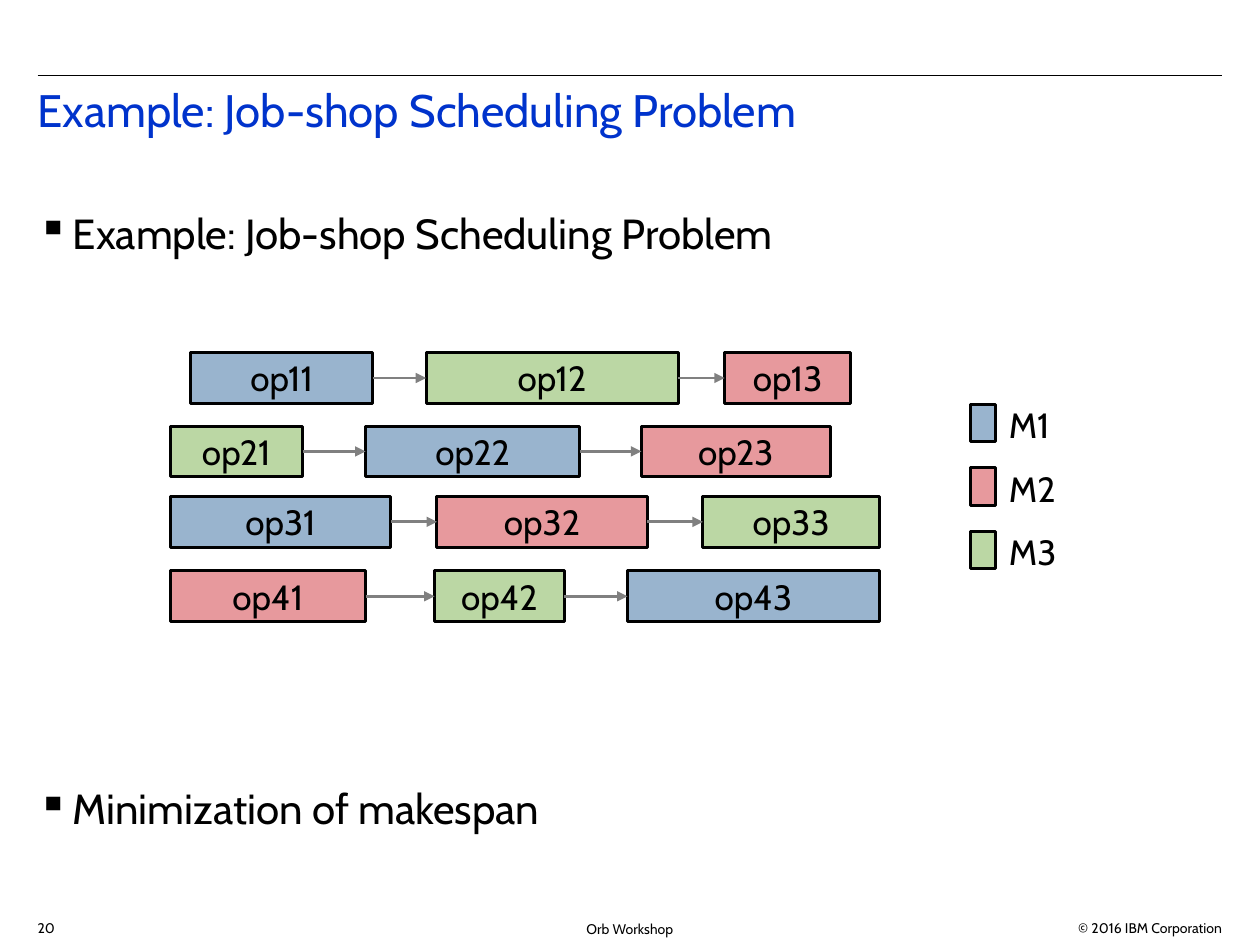
"""Builds the job-shop scheduling example slide."""
from dataclasses import dataclass

from lxml import etree
from pptx import Presentation
from pptx.dml.color import RGBColor
from pptx.enum import shapes, text
from pptx.oxml import ns
from pptx.util import Cm, Pt


@dataclass(frozen=True)
class Theme:
    font: str = "Cabin"
    ink: str = "000000"
    title: str = "0033CC"
    arrow: str = "808080"
    opacity: int = 40
    title_size: int = 26
    body_size: int = 24
    label_size: int = 20
    footer_size: int = 8
    rule: float = 0.75
    outline: float = 1.7


THEME = Theme()
TITLE = "Example: Job-shop Scheduling Problem"
BULLETS = [("Example: Job-shop Scheduling Problem", 0), ("Minimization of makespan", 300)]
FOOTERS = [
    ("20", (0.51, 18.42, 1.02, 0.58), "LEFT", "TOP"),
    ("Orb Workshop", (8.38, 18.34, 8.64, 0.76), "CENTER", "MIDDLE"),
    ("© 2016 IBM Corporation", (20.57, 18.42, 4.32, 0.51), "RIGHT", "TOP"),
]
MACHINES = {"M1": "004586", "M2": "C5000B", "M3": "579D1C"}
JOBS = [
    (7.11, [("M1", 3.84, 3.68), ("M3", 8.59, 5.08), ("M2", 14.61, 2.54)]),
    (8.59, [("M3", 3.43, 2.67), ("M1", 7.37, 4.32), ("M2", 12.93, 3.81)]),
    (10.01, [("M1", 3.43, 4.45), ("M2", 8.81, 4.24), ("M3", 14.17, 3.56)]),
    (11.51, [("M2", 3.43, 3.94), ("M3", 8.76, 2.62), ("M1", 12.65, 5.08)]),
]
OPERATION_HEIGHT = 1.02
LEGEND_LEFT, LEGEND_TOP, LEGEND_STEP = 19.56, 8.15, 1.28


def add_child(parent, tag, **attributes):
    return etree.SubElement(parent, ns.qn(tag), attributes)


def write(box, content, size, color=THEME.ink, align="LEFT", anchor="TOP",
          wrap=True, spacing=None, before=0, bullet=None, first=True):
    frame = box.text_frame
    frame.word_wrap = wrap
    frame.vertical_anchor = text.MSO_ANCHOR[anchor]
    para = frame.paragraphs[0] if first else frame.add_paragraph()
    para.alignment = text.PP_ALIGN[align]
    if spacing:
        para.line_spacing = spacing
    if before:
        para.space_before = Pt(before)
    if bullet:
        properties = para._p.get_or_add_pPr()
        properties.set("marL", str(Cm(0.71)))
        properties.set("indent", str(-Cm(0.71)))
        add_child(add_child(properties, "a:buClr"), "a:srgbClr", val=color)
        add_child(properties, "a:buChar", char=bullet)
    span = para.add_run()
    span.text = content
    span.font.name = THEME.font
    span.font.size = Pt(size)
    span.font.color.rgb = RGBColor.from_string(color)


def add_box(page, *bounds):
    return page.shapes.add_textbox(*map(Cm, bounds))


def add_block(page, machine, *bounds):
    block = page.shapes.add_shape(shapes.MSO_SHAPE.RECTANGLE, *map(Cm, bounds))
    block.shadow.inherit = False
    block.fill.solid()
    block.fill.fore_color.rgb = RGBColor.from_string(MACHINES[machine])
    tint = block._element.spPr.find(".//" + ns.qn("a:srgbClr"))
    add_child(tint, "a:alpha", val=str(THEME.opacity * 1000))
    block.line.color.rgb = RGBColor.from_string(THEME.ink)
    block.line.width = Pt(THEME.outline)
    return block


def add_line(page, kind, color, width, ends=(0, 0, 0, 0)):
    line = page.shapes.add_connector(kind, *map(Cm, ends))
    line.line.color.rgb = RGBColor.from_string(color)
    line.line.width = Pt(width)
    add_child(line._element.spPr, "a:effectLst")
    return line


def add_arrow(page, start, end):
    arrow = add_line(page, shapes.MSO_CONNECTOR.ELBOW, THEME.arrow, THEME.outline)
    arrow.begin_connect(start, 3)
    arrow.end_connect(end, 1)
    add_child(arrow.line._get_or_add_ln(), "a:tailEnd", type="triangle")


def add_jobs(page):
    for job, (top, operations) in enumerate(JOBS, 1):
        blocks = []
        for step, (machine, left, width) in enumerate(operations, 1):
            block = add_block(page, machine, left, top, width, OPERATION_HEIGHT)
            write(block, f"op{job}{step}", THEME.label_size, align="CENTER", anchor="MIDDLE")
            blocks.append(block)
        for start, end in zip(blocks, blocks[1:]):
            add_arrow(page, start, end)


def add_legend(page):
    for index, machine in enumerate(MACHINES):
        top = LEGEND_TOP + index * LEGEND_STEP
        add_block(page, machine, LEGEND_LEFT, top, 0.51, 0.76)
        label = add_box(page, LEGEND_LEFT + 0.53, top - 0.14, 1.55, 1.09)
        write(label, machine, THEME.label_size, wrap=False)


def main():
    deck = Presentation()
    deck.slide_width, deck.slide_height = Cm(25.4), Cm(19.05)
    page = deck.slides.add_slide(deck.slide_layouts[6])
    add_line(page, shapes.MSO_CONNECTOR.STRAIGHT, THEME.ink, THEME.rule,
             (0.76, 1.52, 24.64, 1.52))
    write(add_box(page, 0.51, 1.65, 24.13, 1.78), TITLE, THEME.title_size,
          color=THEME.title, spacing=0.9)
    body = add_box(page, 0.51, 4.06, 24.13, 13.97)
    for index, (content, before) in enumerate(BULLETS):
        write(body, content, THEME.body_size, before=before, bullet="▪", first=index == 0)
    add_jobs(page)
    add_legend(page)
    for content, bounds, align, anchor in FOOTERS:
        write(add_box(page, *bounds), content, THEME.footer_size, align=align, anchor=anchor)
    deck.save("out.pptx")


if __name__ == "__main__":
    main()
